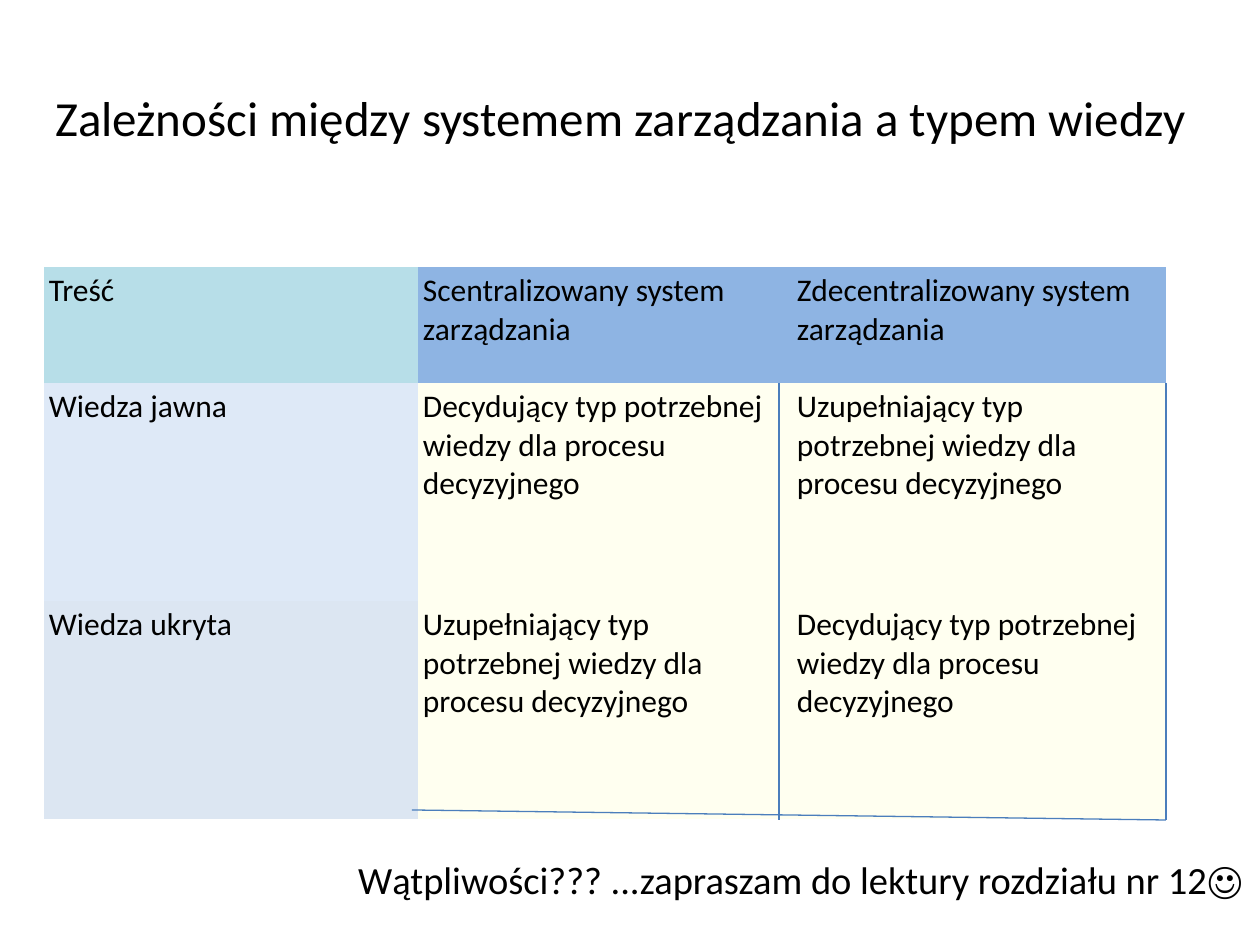
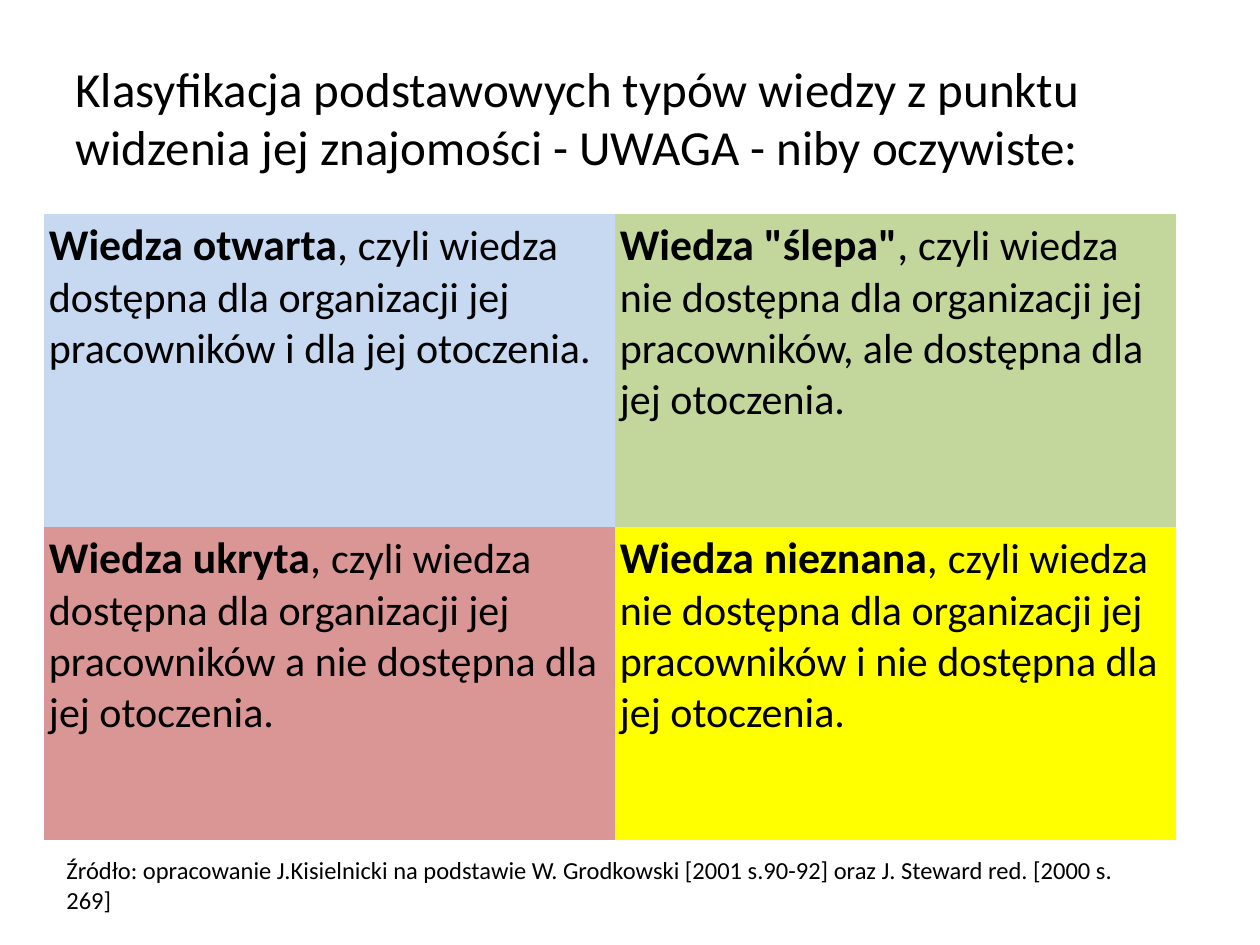
import pptx
import pptx.util
import pptx.dml.color
import pptx.enum.shapes
import pptx.enum.text
from dataclasses import dataclass
from lxml import etree

EMU_PER_PX = 914400 / 126
PLAIN_TABLE_STYLE = "{2D5ABB26-0587-4C30-8999-92F81FD0307C}"
ALIGN = pptx.enum.text.PP_ALIGN
ANCHOR = pptx.enum.text.MSO_ANCHOR


@dataclass(frozen=True)
class Theme:
    font: str = "Calibri"
    # Colours
    ink: str = "000000"
    rule: str = "4B7EBC"
    teal: str = "B7DEE8"
    header: str = "8EB4E3"
    sky: str = "C6D9F1"
    pale: str = "DCE6F2"
    ivory: str = "FFFFF0"
    green: str = "C3D69B"
    rose: str = "D99694"
    yellow: str = "FFFF00"
    # Type sizes
    title: int = 28
    term: int = 25
    definition: int = 24
    invitation: int = 22
    cell: int = 18
    source: int = 14


THEME = Theme()


def px(length):
    return pptx.util.Emu(round(length * EMU_PER_PX))


def rgb(colour):
    return pptx.dml.color.RGBColor.from_string(colour)


def write(frame, spans, align=ALIGN.LEFT):
    """Fill the first paragraph with (text, size, bold) runs."""
    para = frame.paragraphs[0]
    para.alignment = align
    for text, size, bold in spans:
        span = para.add_run()
        span.text = text
        span.font.name = THEME.font
        span.font.size = pptx.util.Pt(size)
        span.font.bold = bold
        span.font.color.rgb = rgb(THEME.ink)


def add_page(deck, title, left, width, align):
    page = deck.slides.add_slide(deck.slide_layouts[5])
    box = page.shapes.title
    box.left, box.top, box.width, box.height = map(px, (left, 38, width, 158))
    box.text_frame.vertical_anchor = ANCHOR.MIDDLE
    write(box.text_frame, [(title, THEME.title, False)], align)
    return page


def add_text(page, area, text, size, align=ALIGN.LEFT, anchor=ANCHOR.TOP):
    frame = page.shapes.add_textbox(*map(px, area)).text_frame
    frame.word_wrap = True
    frame.vertical_anchor = anchor
    write(frame, [(text, size, False)], align)
    return frame


def fill_cell(cell, spans, colour, opacity=100):
    cell.fill.solid()
    cell.fill.fore_color.rgb = rgb(colour)
    if opacity < 100:
        for node in cell._tc.tcPr.iter(pptx.oxml.ns.qn("a:srgbClr")):
            etree.SubElement(node, pptx.oxml.ns.qn("a:alpha"), val=str(opacity * 1000))
    cell.margin_left = cell.margin_right = px(5)
    cell.margin_top = cell.margin_bottom = px(5)
    write(cell.text_frame, spans)


def add_grid(page, top, widths, heights, rows):
    """Add a borderless table; each cell is (spans, colour[, opacity])."""
    area = (44, top, sum(widths), sum(heights))
    table = page.shapes.add_table(len(heights), len(widths), *map(px, area)).table
    table.first_row = table.horz_banding = False
    table._tbl.tblPr.find(pptx.oxml.ns.qn("a:tableStyleId")).text = PLAIN_TABLE_STYLE
    for column, width in zip(table.columns, widths):
        column.width = px(width)
    for row, height, contents in zip(table.rows, heights, rows):
        row.height = px(height)
        for cell, content in zip(row.cells, contents):
            fill_cell(cell, *content)


def add_rule(page, *ends):
    rule = page.shapes.add_connector(
        pptx.enum.shapes.MSO_CONNECTOR.STRAIGHT, *map(px, ends))
    rule.line.color.rgb = rgb(THEME.rule)
    rule.line.width = pptx.util.Pt(0.75)
    etree.SubElement(rule._element.spPr, pptx.oxml.ns.qn("a:effectLst"))


def label(text):
    return [(text, THEME.cell, False)]


def definition(term, text):
    return [(term, THEME.term, True), (", ", THEME.term, False),
            (text, THEME.definition, False)]


def build_dependencies(deck):
    page = add_page(deck, "Zależności między systemem zarządzania a typem wiedzy",
                    25, 1191, ALIGN.CENTER)
    need = "typ potrzebnej wiedzy dla procesu decyzyjnego"
    deciding = (label("Decydujący " + need), THEME.ivory)
    supporting = (label("Uzupełniający " + need), THEME.ivory)
    add_grid(page, 267, [374] * 3, [116, 218, 218], [
        [(label("Treść"), THEME.teal),
         (label("Scentralizowany system zarządzania"), THEME.header),
         (label("Zdecentralizowany system zarządzania"), THEME.header)],
        [(label("Wiedza jawna"), THEME.sky, 57), deciding, supporting],
        [(label("Wiedza ukryta"), THEME.pale), supporting, deciding],
    ])
    # Rules drawn over the table
    add_rule(page, 412, 810, 1166, 820)
    for x in (779, 1166):
        add_rule(page, x, 383, x, 820)
    add_text(page, (64, 810, 1191, 139),
             "Wątpliwości??? ...zapraszam do lektury rozdziału nr 12☺",
             THEME.invitation, ALIGN.RIGHT, ANCHOR.MIDDLE)


def build_classification(deck):
    page = add_page(deck, "Klasyfikacja podstawowych typów wiedzy z punktu widzenia "
                    "jej znajomości - UWAGA - niby oczywiste:", 63, 1134, ALIGN.LEFT)
    known = "czyli wiedza dostępna dla organizacji jej pracowników "
    unknown = "czyli wiedza nie dostępna dla organizacji jej pracowników"
    add_grid(page, 214, [571, 561], [313, 313], [
        [(definition("Wiedza otwarta", known + "i dla jej otoczenia."), THEME.sky),
         (definition('Wiedza "ślepa"', unknown + ", ale dostępna dla jej otoczenia."),
          THEME.green)],
        [(definition("Wiedza ukryta", known + "a nie dostępna dla jej otoczenia."),
          THEME.rose),
         (definition("Wiedza nieznana", unknown + " i nie dostępna dla jej otoczenia."),
          THEME.yellow)],
    ])
    frame = add_text(page, (54, 849, 1121, 43),
                     "Źródło: opracowanie J.Kisielnicki na podstawie W. Grodkowski "
                     "[2001 s.90-92] oraz J. Steward red. [2000 s. 269]", THEME.source)
    frame.auto_size = pptx.enum.text.MSO_AUTO_SIZE.SHAPE_TO_FIT_TEXT


def main():
    deck = pptx.Presentation()
    deck.slide_width, deck.slide_height = px(1260), px(945)
    build_dependencies(deck)
    build_classification(deck)
    deck.save("out.pptx")


if __name__ == "__main__":
    main()
